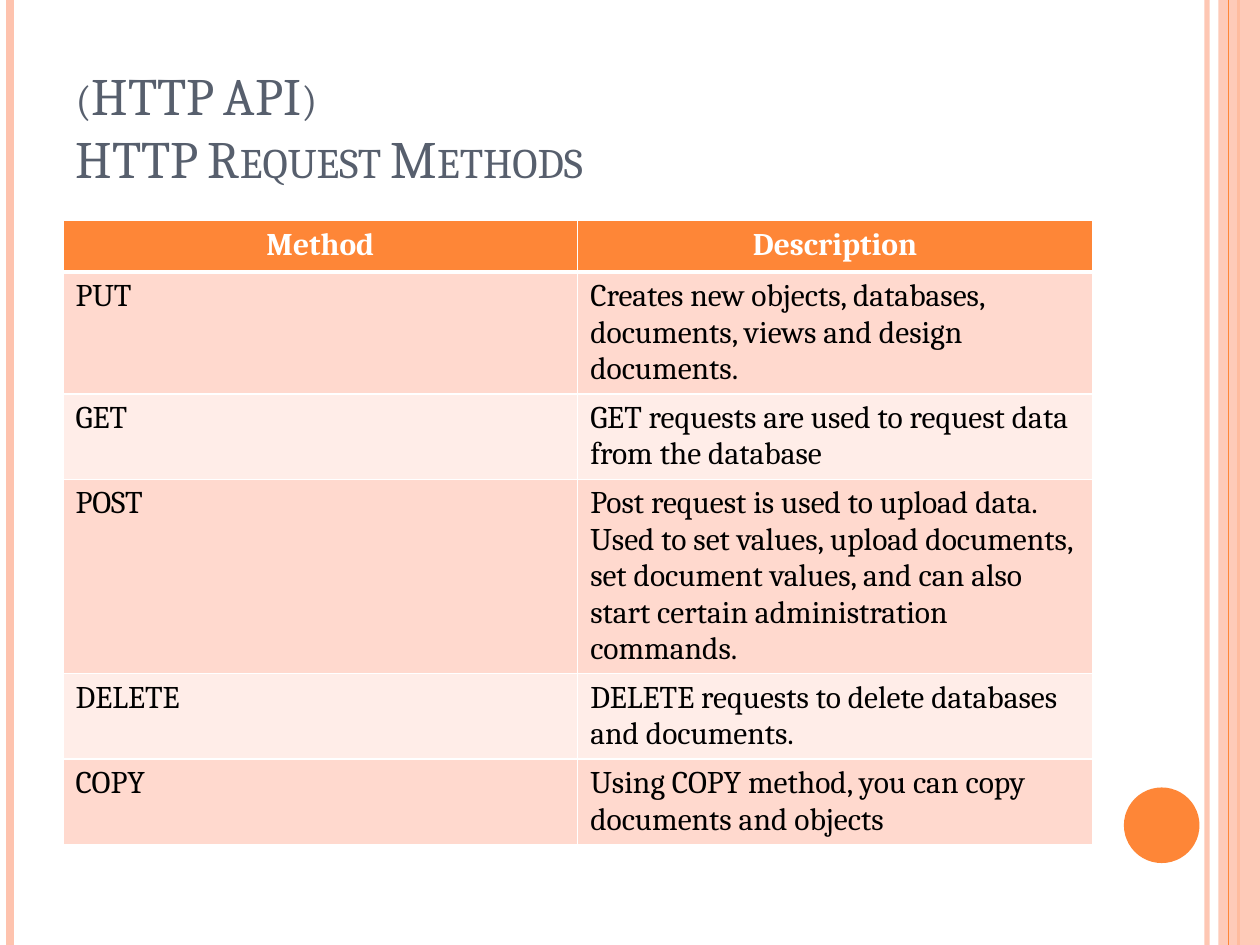
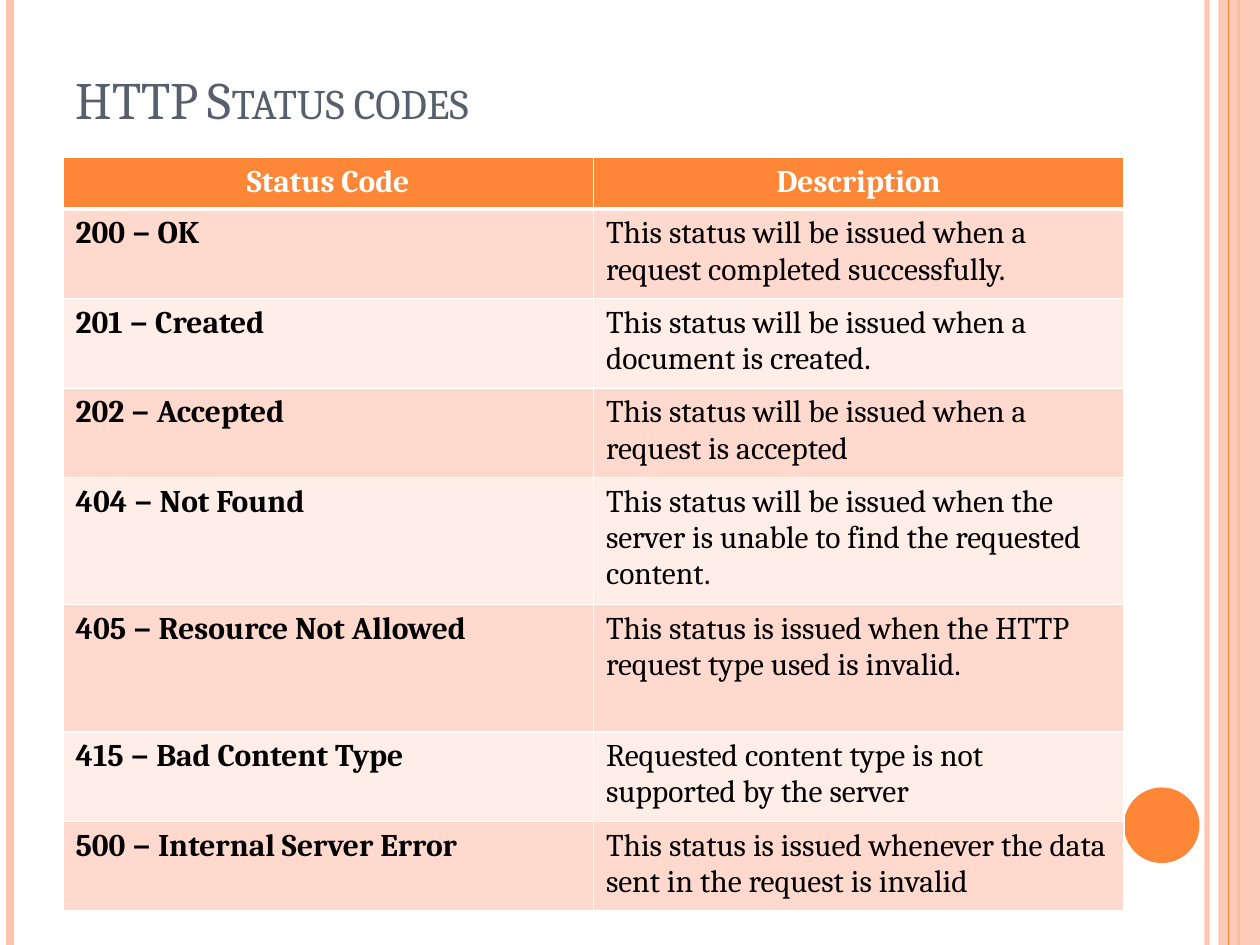
"""Build two slides that tabulate HTTP request methods and status codes."""
from pptx import Presentation
from pptx.dml.color import RGBColor
from pptx.enum.shapes import MSO_CONNECTOR, MSO_SHAPE
from pptx.enum.text import MSO_ANCHOR, MSO_AUTO_SIZE, PP_ALIGN
from pptx.oxml.ns import qn
from pptx.util import Inches, Pt
from lxml.etree import SubElement

FONT = "Cambria"
ORANGE = RGBColor(0xFE, 0x86, 0x37)
PEACH = RGBColor(0xFE, 0xC3, 0xAE)
SLATE = RGBColor(0x57, 0x5F, 0x6D)
WHITE = RGBColor(0xFF, 0xFF, 0xFF)
BLACK = RGBColor(0, 0, 0)
TINTS = [RGBColor(0xFF, 0xD9, 0xCE), RGBColor(0xFF, 0xED, 0xE8)]

WIDE, HIGH = Inches(10), Inches(7.5)
EDGE, TOP = Inches(0.5), Inches(0.3)
HEAD = 0.41

SLIDES = [
    {
        "title": ["(HTTP API)", "HTTP Request Methods"],
        "drop": 1.25, "top": 1.75, "width": 8.17, "height": 5.41,
        "bold": False,
        "rows": [HEAD] * 6,
        "cells": [
            ("Method", "Description"),
            ("PUT", "Creates new objects, databases, documents, views and "
                    "design documents."),
            ("GET", "GET requests are used to request data from the database"),
            ("POST", "Post request is used to upload data.\n"
                     "Used to set values, upload documents, set document "
                     "values, and can also start certain administration "
                     "commands."),
            ("DELETE", "DELETE requests to delete databases and documents."),
            ("COPY", "Using COPY method, you can copy documents and objects"),
        ],
    },
    {
        "title": ["HTTP Status codes"],
        "drop": 0.78, "top": 1.25, "width": 8.42, "height": 5.99,
        "bold": True,
        "rows": [HEAD, 0.71, 0.71, 0.71, 1.01, 1.01, 0.71, 0.71],
        "cells": [
            ("Status Code", "Description"),
            ("200 − OK", "This status will be issued when a request "
                         "completed successfully."),
            ("201 − Created", "This status will be issued when a document "
                              "is created."),
            ("202 − Accepted", "This status will be issued when a request "
                               "is accepted"),
            ("404 − Not Found", "This status will be issued when the server "
                                "is unable to find the requested content."),
            ("405 − Resource Not Allowed", "This status is issued when the "
                                           "HTTP request type used is invalid."),
            ("415 − Bad Content Type", "Requested content type is not "
                                       "supported by the server"),
            ("500 − Internal Server Error", "This status is issued whenever "
                                            "the data sent in the request is "
                                            "invalid"),
        ],
    },
]


def fade(item, share):
    """Make the solid colour inside an element partly transparent."""
    tone = next(item.iter(qn("a:srgbClr")))
    SubElement(tone, qn("a:alpha"), val=str(share * 1000))


def stripe(slide, left, color, size, share=100):
    """Draw a full-height vertical line."""
    x = Inches(left)
    line = slide.shapes.add_connector(MSO_CONNECTOR.STRAIGHT, x, 0, x, HIGH)
    line.line.color.rgb = color
    line.line.width = Pt(size)
    if share < 100:
        fade(line.line._ln, share)
    SubElement(line._element.spPr, qn("a:effectLst"))


def block(slide, kind, color, *place):
    """Draw a plain filled shape."""
    shape = slide.shapes.add_shape(kind, *place)
    shape.shadow.inherit = False
    shape.fill.solid()
    shape.fill.fore_color.rgb = color
    shape.line.fill.background()
    return shape


def frame(slide):
    """Draw the bands and disc that every slide shares."""
    stripe(slide, 9.58, PEACH, 3, 93)
    stripe(slide, 0.08, PEACH, 4.5)
    stripe(slide, 9.83, ORANGE, 1.5)
    left = Inches(9.67)
    band = block(slide, MSO_SHAPE.RECTANGLE, PEACH, left, 0, WIDE - left, HIGH)
    fade(band._element.spPr, 87)
    stripe(slide, 9.75, ORANGE, 0.75)
    disc = Inches(0.6)
    block(slide, MSO_SHAPE.OVAL, ORANGE, Inches(8.92), Inches(6.25), disc, disc)


def write(para, text, size, color, bold=False):
    """Add one styled run."""
    run = para.add_run()
    run.text = text
    run.font.name = FONT
    run.font.size = Pt(size)
    run.font.color.rgb = color
    run.font.bold = bold
    return run


def head(slide, lines, drop):
    """Place and fill the title."""
    title = slide.shapes.title
    title.left, title.top = EDGE, TOP
    title.width, title.height = Inches(8.17), Inches(drop)
    box = title.text_frame
    box.auto_size = MSO_AUTO_SIZE.NONE
    box.word_wrap = True
    box.vertical_anchor = MSO_ANCHOR.BOTTOM
    para = box.paragraphs[0]
    para.alignment = PP_ALIGN.LEFT
    for i, text in enumerate(lines):
        if i:
            para.add_line_break()
        run = write(para, text, 30, SLATE)
        run.font._element.set("cap", "small")


def rule(cell, row):
    """Give a cell white borders, thick below the header row."""
    sizes = {"L": 1, "R": 1, "T": 3 if row == 1 else 1, "B": 1 if row else 3}
    props = cell._tc.get_or_add_tcPr()
    for side, size in sizes.items():
        line = SubElement(props, qn("a:ln" + side), w=str(Pt(size)))
        fill = SubElement(line, qn("a:solidFill"))
        SubElement(fill, qn("a:srgbClr"), val=str(WHITE))


def grid(slide, data):
    """Build the two-column table."""
    cells = data["cells"]
    width, height = Inches(data["width"]), Inches(data["height"])
    shape = slide.shapes.add_table(
        len(cells), 2, EDGE, Inches(data["top"]), width, height)
    table = shape.table
    for row, size in zip(table.rows, data["rows"]):
        row.height = Inches(size)
    shape.height = height
    for r, texts in enumerate(cells):
        for c, text in enumerate(texts):
            cell = table.cell(r, c)
            rule(cell, r)
            cell.fill.solid()
            cell.fill.fore_color.rgb = TINTS[(r - 1) % 2] if r else ORANGE
            box = cell.text_frame
            for i, part in enumerate(text.split("\n")):
                para = box.add_paragraph() if i else box.paragraphs[0]
                para.alignment = PP_ALIGN.LEFT if r else PP_ALIGN.CENTER
                bold = r == 0 or (c == 0 and data["bold"])
                write(para, part, 18, BLACK if r else WHITE, bold)


deck = Presentation()
deck.slide_width, deck.slide_height = WIDE, HIGH
for data in SLIDES:
    slide = deck.slides.add_slide(deck.slide_layouts[5])
    frame(slide)
    head(slide, data["title"], data["drop"])
    grid(slide, data)
deck.save("out.pptx")
